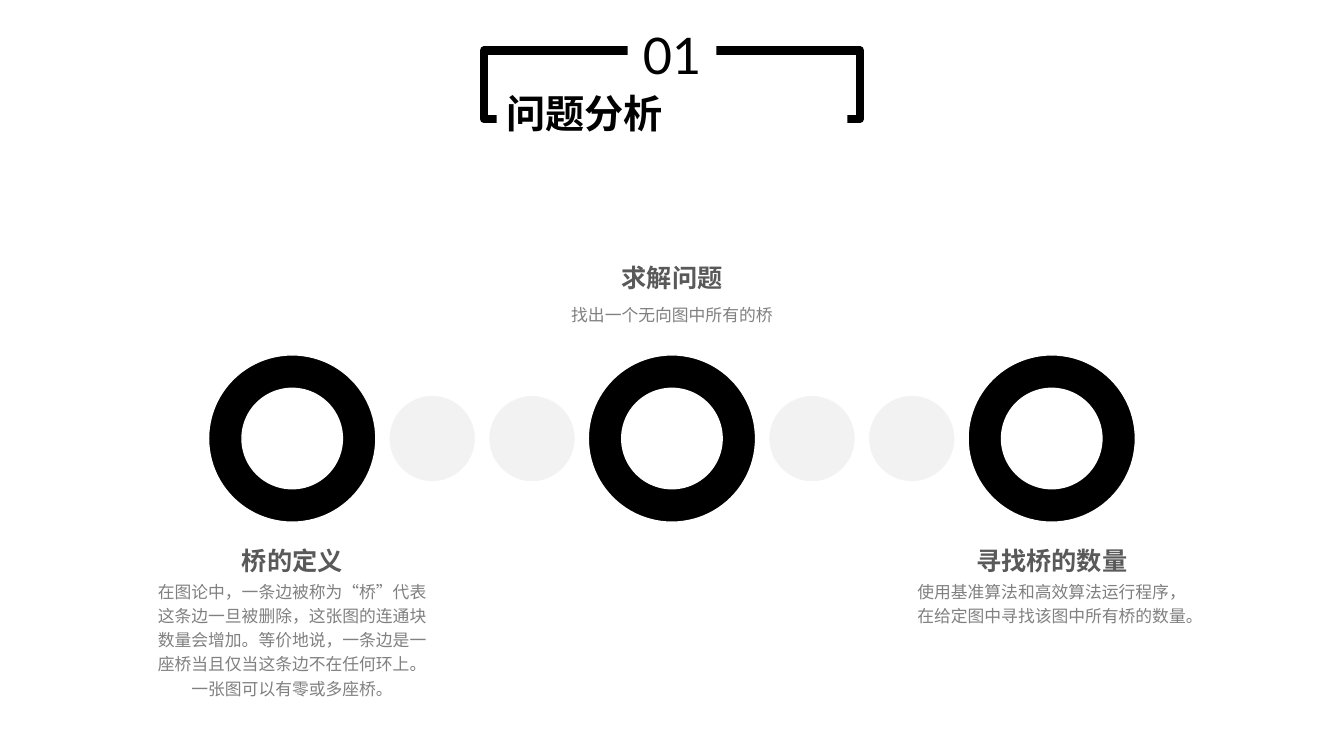
import dataclasses

import pptx
import pptx.dml.color
import pptx.enum.lang
import pptx.enum.shapes
import pptx.enum.text
import pptx.util

Pt = pptx.util.Pt
Shape = pptx.enum.shapes.MSO_SHAPE
Align = pptx.enum.text.PP_ALIGN
Anchor = pptx.enum.text.MSO_ANCHOR


@dataclasses.dataclass(frozen=True)
class Theme:
    black: str = "000000"
    white: str = "FFFFFF"
    pale: str = "F2F2F2"
    heading: str = "595959"
    body: str = "808080"
    title_font: str = "Lato"
    text_font: str = "Arial"
    number_size: float = 36
    title_size: float = 28
    heading_size: float = 18
    body_size: float = 12


THEME = Theme()


def rgb(value):
    return pptx.dml.color.RGBColor.from_string(value)


def add_figure(slide, kind, box, fill=None, line=None, line_width=1):
    shape = slide.shapes.add_shape(kind, *map(Pt, box))
    shape.shadow.inherit = False
    if fill:
        shape.fill.solid()
        shape.fill.fore_color.rgb = rgb(fill)
    else:
        shape.fill.background()
    if line:
        shape.line.color.rgb = rgb(line)
        shape.line.width = Pt(line_width)
    else:
        shape.line.fill.background()
    return shape


def write_text(shape, text, *, size, color, font=THEME.text_font, bold=False,
               align=Align.CENTER, anchor=Anchor.TOP, line_spacing=1.0):
    frame = shape.text_frame
    frame.word_wrap = True
    frame.auto_size = pptx.enum.text.MSO_AUTO_SIZE.SHAPE_TO_FIT_TEXT
    frame.vertical_anchor = anchor
    paragraph = frame.paragraphs[0]
    paragraph.alignment = align
    paragraph.line_spacing = line_spacing
    run = paragraph.add_run()
    run.text = text
    run.font.name = font
    run.font.size = Pt(size)
    run.font.bold = bold
    run.font.color.rgb = rgb(color)
    run.font.language_id = pptx.enum.lang.MSO_LANGUAGE_ID.SIMPLIFIED_CHINESE


def add_title(slide, box, number, title):
    """Draw a frame whose outline is interrupted by the number and the title."""
    left, top, width, height = box
    add_figure(slide, Shape.RECTANGLE, box, line=THEME.black, line_width=6)
    number_box = (left + width / 2 - 31.7, top - 23, 63.4, 51)
    title_box = (left + 9, top + 23.8, width - 18, 41)
    for text, place, size, bold, align in (
        (number, number_box, THEME.number_size, False, Align.CENTER),
        (title, title_box, THEME.title_size, True, Align.JUSTIFY),
    ):
        shape = add_figure(slide, Shape.RECTANGLE, place, fill=THEME.white)
        write_text(shape, text, size=size, color=THEME.black, bold=bold,
                   font=THEME.title_font, align=align, anchor=Anchor.MIDDLE)


def add_chain(slide, box, ring_count=3, dots_between=2, dot_size=62):
    """Draw rings joined by dots and return the centres of the rings."""
    left, top, width, ring_size = box
    dot_count = (ring_count - 1) * dots_between
    gap = ((width - ring_count * ring_size - dot_count * dot_size)
           / (ring_count + dot_count - 1))
    centres = []
    for index in range(ring_count + dot_count):
        is_ring = index % (dots_between + 1) == 0
        size = ring_size if is_ring else dot_size
        place = (left, top + (ring_size - size) / 2, size, size)
        shape = add_figure(slide, Shape.DONUT if is_ring else Shape.OVAL, place,
                           fill=THEME.black if is_ring else THEME.pale,
                           line=THEME.white)
        if is_ring:
            shape.adjustments[0] = 0.2
            centres.append(left + size / 2)
        left += size + gap
    return centres


def add_caption(slide, box, heading, body, heading_width, body_offset):
    left, top, width, height = box
    heading_left = left + (width - heading_width) / 2
    for text, place, size, color, bold in (
        (body, (left, top + body_offset, width, height - body_offset),
         THEME.body_size, THEME.body, False),
        (heading, (heading_left, top, heading_width, 31),
         THEME.heading_size, THEME.heading, True),
    ):
        shape = slide.shapes.add_textbox(*map(Pt, place))
        write_text(shape, text, size=size, color=color, bold=bold, line_spacing=1.2)


def main():
    presentation = pptx.Presentation()
    presentation.slide_width = Pt(960)
    presentation.slide_height = Pt(540)
    slide = presentation.slides.add_slide(presentation.slide_layouts[6])

    add_title(slide, (345.7, 36, 268.6, 49), "01", "问题分析")
    centres = add_chain(slide, (149, 253.5, 662, 119.5))

    # top, width, height, heading width, body offset, heading, body
    captions = (
        (381.6, 208.8, 120.2, 176.4, 27.4, "桥的定义",
         "在图论中，一条边被称为“桥”代表这条边一旦被删除，这张图的连通块数量会增加。"
         "等价地说，一条边是一座桥当且仅当这条边不在任何环上。一张图可以有零或多座桥。"),
        (179.3, 229.7, 54.7, 193.7, 31.7, "求解问题",
         "找出一个无向图中所有的桥"),
        (381.6, 208.8, 67.7, 176.4, 27.4, "寻找桥的数量",
         "使用基准算法和高效算法运行程序，在给定图中寻找该图中所有桥的数量。"),
    )
    for centre, caption in zip(centres, captions):
        top, width, height, heading_width, body_offset, heading, body = caption
        add_caption(slide, (centre - width / 2, top, width, height),
                    heading, body, heading_width, body_offset)

    presentation.save("out.pptx")


if __name__ == "__main__":
    main()
